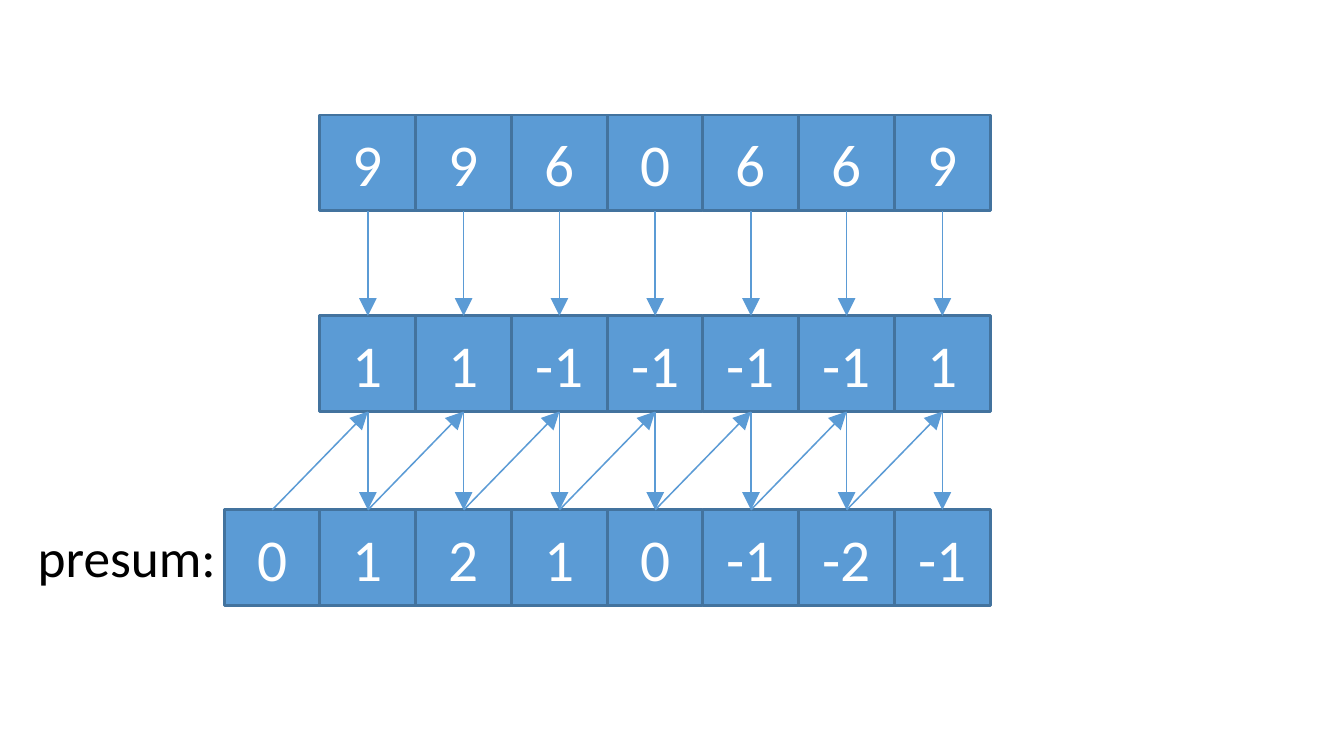
from pptx import Presentation
from pptx.dml.color import RGBColor
from pptx.enum import shapes, text
from pptx.oxml.ns import qn
from pptx.util import Cm, Pt
from lxml import etree

BLUE, EDGE, WHITE, BLACK = "5B9BD5", "43739E", "FFFFFF", "000000"
CELL = 1.14                 # side of one square cell
LEFT = 2.67                 # left edge of column 0
ROWS = [                    # top, first column, values
    (1.37, 1, [9, 9, 6, 0, 6, 6, 9]),
    (3.76, 1, [1, 1, -1, -1, -1, -1, 1]),
    (6.07, 0, [0, 1, 2, 1, 0, -1, -2, -1]),
]


def paint(fmt, color):
    """Give a solid colour to a fill."""
    fmt.solid()
    fmt.fore_color.rgb = RGBColor.from_string(color)


def add_arrow(x1, y1, x2, y2):
    c = s.shapes.add_connector(shapes.MSO_CONNECTOR.STRAIGHT,
                               Cm(x1), Cm(y1), Cm(x2), Cm(y2))
    paint(c.line.fill, BLUE)
    c.line.width = Pt(0.5)
    etree.SubElement(c.line._get_or_add_ln(), qn("a:tailEnd"), type="triangle")
    etree.SubElement(c._element.spPr, qn("a:effectLst"))


prs = Presentation()
prs.slide_width, prs.slide_height = Cm(16), Cm(9)
s = prs.slides.add_slide(prs.slide_layouts[6])

# Rows of cells
for top, first, values in ROWS:
    for col, value in enumerate(values, first):
        sp = s.shapes.add_shape(shapes.MSO_SHAPE.RECTANGLE, Cm(LEFT + col * CELL),
                                Cm(top), Cm(CELL), Cm(CELL))
        sp.shadow.inherit = False
        paint(sp.fill, BLUE)
        paint(sp.line.fill, EDGE)
        sp.line.width = Pt(1)
        tf = sp.text_frame
        tf.margin_left = tf.margin_right = 0
        tf.vertical_anchor = text.MSO_ANCHOR.MIDDLE
        tf.text = str(value)
        p = tf.paragraphs[0]
        p.alignment = text.PP_ALIGN.CENTER
        r = p.runs[0]
        r.font.name, r.font.size = "Calibri", Pt(20)
        paint(r.font.fill, WHITE)

# Arrows down each column, and diagonals from the previous sum
top_hours, top_signs, top_sums = [row[0] for row in ROWS]
for col in range(1, 8):
    x = LEFT + (col + 0.5) * CELL
    add_arrow(x, top_hours + CELL, x, top_signs)
    add_arrow(x, top_signs + CELL, x, top_sums)
    add_arrow(x - CELL, top_sums, x, top_signs + CELL)

# Row label
sp = s.shapes.add_textbox(Cm(0.2), Cm(6.12), Cm(2.74), Cm(1.02))
tf = sp.text_frame
tf.word_wrap = True
tf.text = "presum:"
r = tf.paragraphs[0].runs[0]
r.font.name, r.font.size = "Calibri", Pt(18)
paint(r.font.fill, BLACK)

prs.save("out.pptx")
